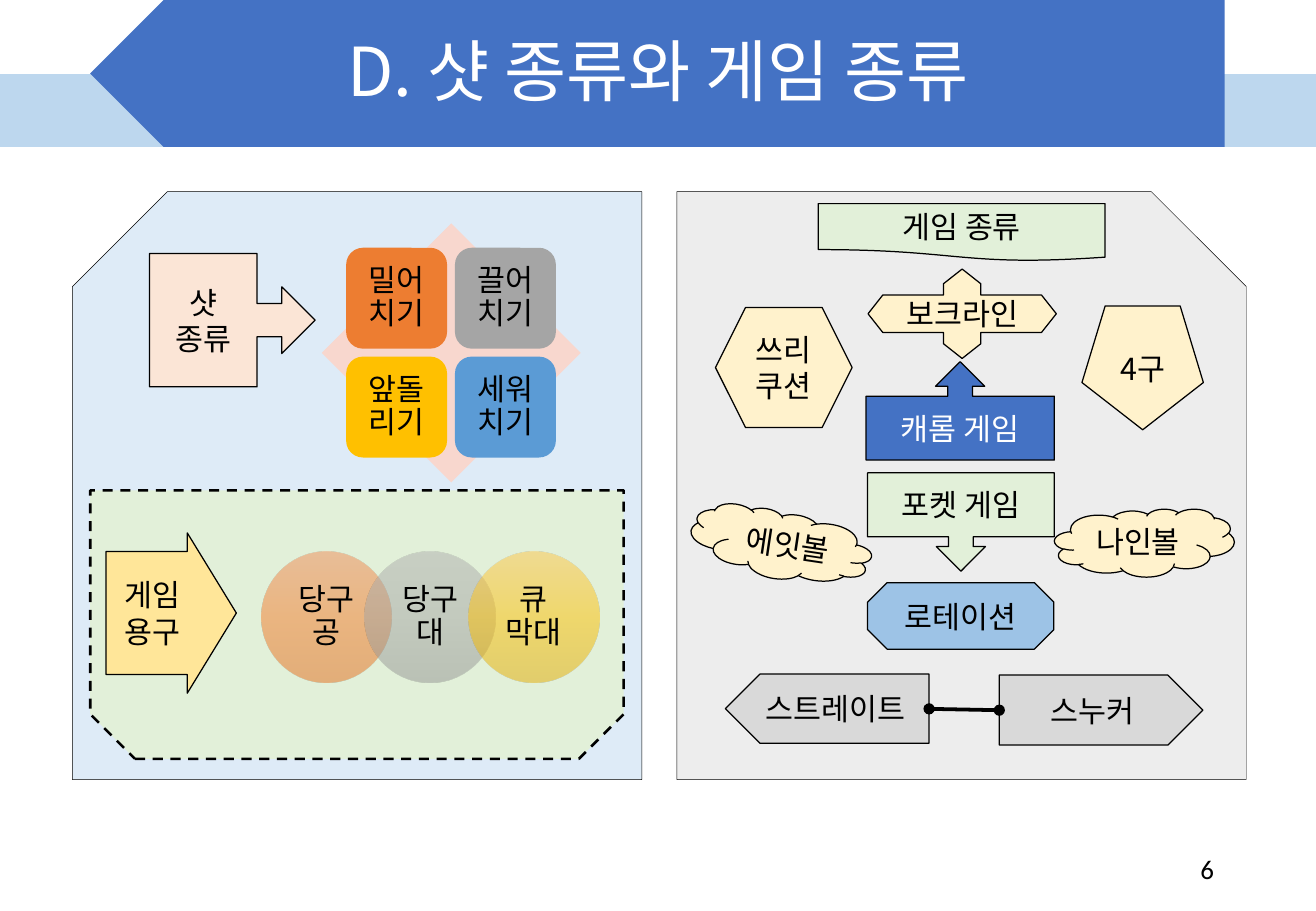
from lxml import etree
from pptx import Presentation
from pptx.dml.color import RGBColor
from pptx.enum import dml, shapes, text
from pptx.oxml.ns import qn
from pptx.util import Pt

KIND = shapes.MSO_SHAPE
ALIGN = text.PP_ALIGN
KOREAN = "Noto Sans CJK KR"

COLORS = {
    "black": "000000", "white": "FFFFFF", "blue": "4472C4", "band": "BDD7EE",
    "shot_panel": "DEEBF7", "game_panel": "EDEDED", "green": "E2F0D9",
    "peach": "FBE5D6", "pink": "F8D7CE", "amber": "FFE699", "cream": "FFF2CC",
    "sky": "9DC3E6", "silver": "D9D9D9",
    "orange": "ED7D31", "gray": "A5A5A5", "gold": "FFC000", "azure": "5B9BD5",
}
BALL_GRADIENTS = [
    ("F18C57", "F67B28", "E56C19"),
    ("AFAFAF", "A5A5A5", "939393"),
    ("FFC64B", "FFC000", "E3AB00"),
]


def rgb(name):
    return RGBColor.from_string(COLORS[name])


def write(shape, words, size=18, color="black", font=KOREAN, align=ALIGN.CENTER,
          anchor=text.MSO_ANCHOR.MIDDLE, spacing=None, after=None, insets=None):
    frame = shape.text_frame
    frame.word_wrap = True
    frame.vertical_anchor = anchor
    if insets:
        frame.margin_left = frame.margin_right = Pt(insets[0])
        frame.margin_top = frame.margin_bottom = Pt(insets[1])
    paragraph = frame.paragraphs[0]
    paragraph.alignment = align
    if spacing:
        paragraph.line_spacing = spacing
    if after:
        paragraph.space_after = Pt(after)
    paragraph.text = words
    for run in paragraph.runs:
        run.font.size = Pt(size)
        run.font.name = font
        run.font.color.rgb = rgb(color)
        etree.SubElement(run.font._element, qn("a:ea")).set("typeface", font)


def add_label(slide, box, words, **style):
    write(slide.shapes.add_textbox(*map(Pt, box)), words, **style)


def add_figure(slide, kind, box, fill=None, words=None, line=0.75, flip=None,
               adjust=(), **style):
    """Add a preset shape; line=0 leaves it without an outline."""
    figure = slide.shapes.add_shape(kind, *map(Pt, box))
    figure.shadow.inherit = False
    for index, value in enumerate(adjust):
        figure.adjustments[index] = value
    if fill:
        figure.fill.solid()
        figure.fill.fore_color.rgb = rgb(fill)
    if line:
        figure.line.color.rgb = rgb("black")
        figure.line.width = Pt(line)
    else:
        figure.line.fill.background()
    if flip:
        figure._element.spPr.find(qn("a:xfrm")).set(flip, "1")
    if words:
        write(figure, words, **style)
    return figure


def fade(shape, stops):
    """Fill with a half-transparent gradient from top to bottom."""
    shape.fill.gradient()
    shape.fill.gradient_angle = 270
    stop_list = shape._element.spPr.find(".//" + qn("a:gsLst"))
    for old in list(stop_list):
        stop_list.remove(old)
    for index, stop in enumerate(stops):
        mark = etree.SubElement(stop_list, qn("a:gs"), pos=str(index * 50000))
        tint = etree.SubElement(mark, qn("a:srgbClr"), val=stop)
        etree.SubElement(tint, qn("a:alpha"), val="50000")


def add_dotted_link(slide, start, end):
    """Add a line with a round dot at each end."""
    link = slide.shapes.add_connector(shapes.MSO_CONNECTOR.STRAIGHT,
                                      *map(Pt, start + end))
    link.line.color.rgb = rgb("black")
    link.line.width = Pt(2.25)
    outline = link.line._get_or_add_ln()
    for tip in ("a:headEnd", "a:tailEnd"):
        etree.SubElement(outline, qn(tip), type="oval")
    etree.SubElement(link._element.spPr, qn("a:effectLst"))


def add_header(slide):
    add_figure(slide, KIND.RECTANGLE, (0, 43.9, 780, 43.2), "band", line=0)
    add_figure(slide, KIND.PENTAGON, (53.5, 0, 672.5, 87.1), "blue", line=0, flip="flipH")
    add_label(slide, (0, 1.4, 780, 85.7), "D. 샷 종류와 게임 종류",
              size=40, color="white", spacing=0.9)
    add_label(slide, (551, 500.4, 175.7, 28.8), "6",
              size=16, font="Calibri", align=ALIGN.RIGHT)


def add_shots(slide):
    add_figure(slide, KIND.SNIP_1_RECTANGLE, (43, 113.6, 337.5, 348.5), "shot_panel",
               line=0.25, flip="flipH")
    equipment_panel = add_figure(slide, KIND.SNIP_2_SAME_RECTANGLE,
                                 (53.5, 290.7, 316.2, 159.1), "green",
                                 line=1.5, flip="flipV")
    equipment_panel.line.dash_style = dml.MSO_LINE.DASH
    add_figure(slide, KIND.RIGHT_ARROW_CALLOUT, (88.6, 150.3, 98.2, 79), "peach", "샷 종류")

    add_figure(slide, KIND.DIAMOND, (190.8, 132.5, 153.4, 153.4), "pink", line=0)
    shots = [("밀어치기", "orange"), ("끌어치기", "gray"),
             ("앞돌리기", "gold"), ("세워치기", "azure")]
    for index, (shot, color) in enumerate(shots):
        row, column = divmod(index, 2)
        add_figure(slide, KIND.ROUNDED_RECTANGLE,
                   (205.2 + 64.5 * column, 146.9 + 64.5 * row, 59.8, 59.8),
                   color, shot, line=0, spacing=0.9, after=6.3, insets=(5, 5))


def add_equipment(slide):
    add_figure(slide, KIND.RIGHT_ARROW, (62.8, 315.9, 77.3, 95), "amber", "게임 용구",
               adjust=(0.767, 0.376))
    for index, item in enumerate(("당구공", "당구대", "큐\v막대")):
        ball = add_figure(slide, KIND.OVAL, (154.8 + 61.5 * index, 327.3, 77.3, 77.3),
                          words=item, line=0, spacing=0.9, after=6.3, insets=(4.3, 2.2))
        fade(ball, BALL_GRADIENTS[index])


def add_games(slide):
    add_figure(slide, KIND.SNIP_1_RECTANGLE, (401.2, 113.6, 337.5, 348.5), "game_panel",
               line=0.25)
    add_figure(slide, KIND.FLOWCHART_DOCUMENT, (485, 120.7, 170, 34), "green", "게임 종류",
               flip="flipH")
    add_figure(slide, KIND.DOWN_ARROW_CALLOUT, (514.2, 280.3, 110.7, 58.3), "green", "포켓 게임")
    add_figure(slide, KIND.QUAD_ARROW, (514.5, 159.5, 111.6, 53), "cream", "보크라인",
               adjust=(0.444, 0.209, 0.165))
    add_figure(slide, KIND.OCTAGON, (514.2, 345.4, 110.4, 39.4), "sky", "로테이션")
    add_figure(slide, KIND.CLOUD, (625, 301.7, 106.6, 40.3), "cream", "나인볼")
    add_figure(slide, KIND.PENTAGON, (592.3, 400.2, 120.7, 41.5), "silver", "스누커")
    add_figure(slide, KIND.REGULAR_PENTAGON, (641.3, 181.4, 72, 73.4), "cream", flip="flipV")
    add_figure(slide, KIND.HEXAGON, (424.1, 182.3, 81, 71.2), "cream", "쓰리쿠션")
    add_figure(slide, KIND.PENTAGON, (430, 399.6, 120.7, 41), "silver", "스트레이트",
               flip="flipH")
    add_figure(slide, KIND.UP_ARROW_CALLOUT, (513.3, 214.4, 111.6, 58.3), "blue", "캐롬 게임",
               color="white")
    eight_ball = add_figure(slide, KIND.CLOUD, (409, 302.9, 108, 40.3), "cream", "에잇볼",
                            flip="flipH")
    eight_ball.rotation = 8.5
    add_dotted_link(slide, (550.7, 420.2), (592.3, 421))
    add_label(slide, (651.6, 203.8, 51.8, 28.8), "4구", anchor=text.MSO_ANCHOR.TOP)


def main():
    deck = Presentation()
    deck.slide_width, deck.slide_height = Pt(780), Pt(540)
    slide = deck.slides.add_slide(deck.slide_layouts[6])
    add_header(slide)
    add_shots(slide)
    add_equipment(slide)
    add_games(slide)
    deck.save("out.pptx")


if __name__ == "__main__":
    main()
